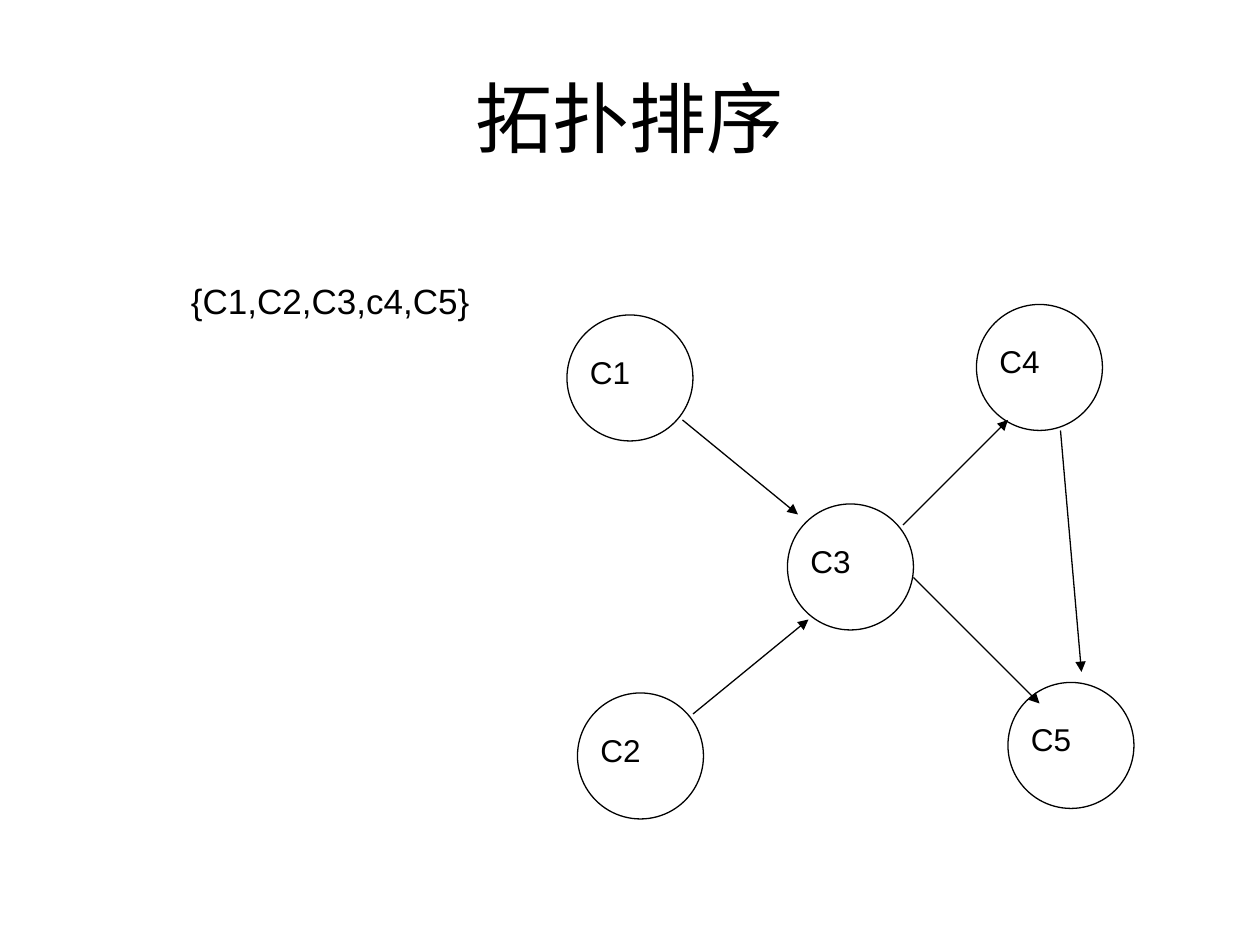
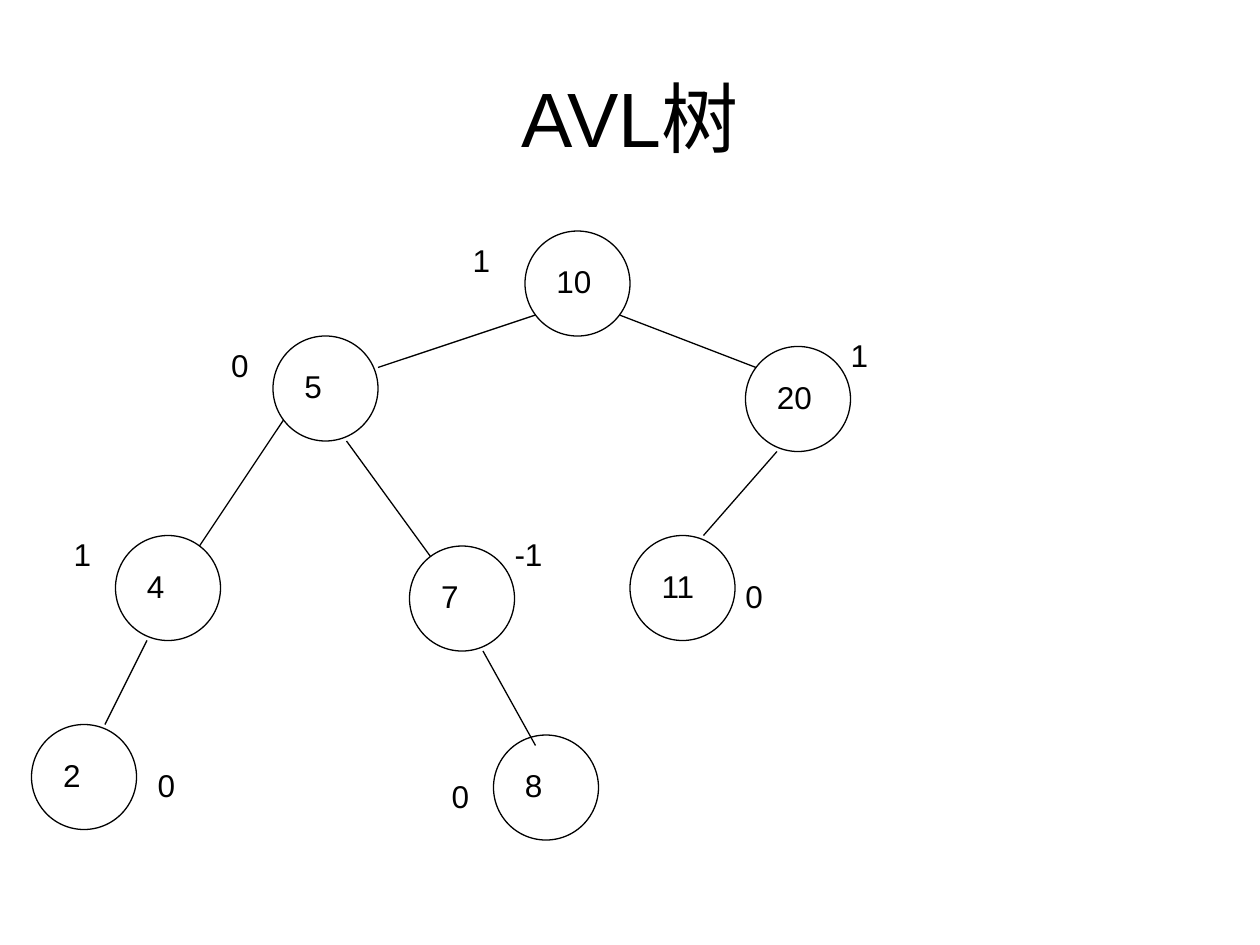
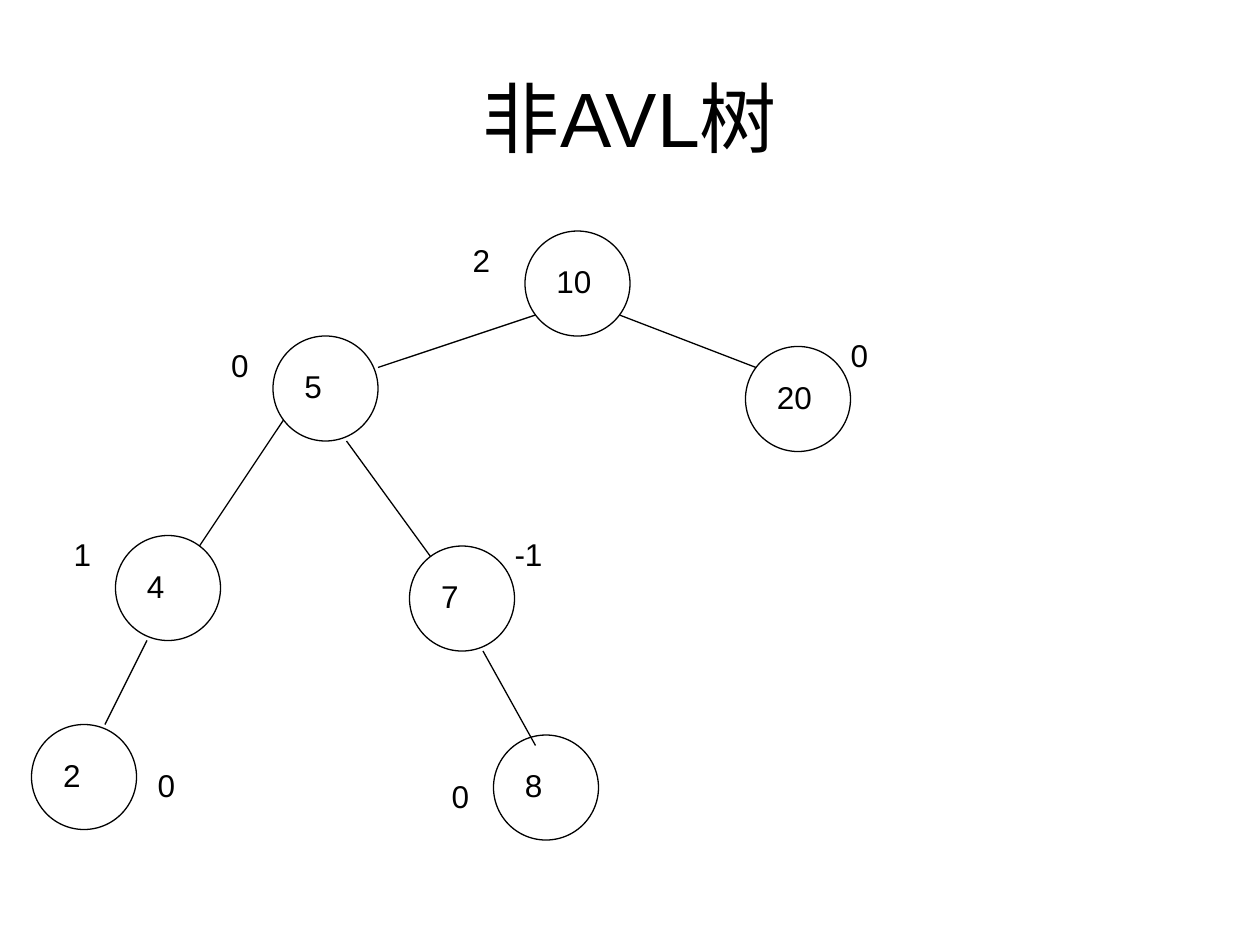
from dataclasses import dataclass

from lxml import etree
from pptx import Presentation
from pptx.dml.color import RGBColor
from pptx.enum.shapes import MSO_CONNECTOR, MSO_SHAPE
from pptx.enum.text import MSO_ANCHOR, MSO_AUTO_SIZE, PP_ALIGN
from pptx.oxml.ns import qn
from pptx.util import Pt

OVAL = MSO_SHAPE.OVAL
STRAIGHT = MSO_CONNECTOR.STRAIGHT
TOP, MIDDLE = MSO_ANCHOR.TOP, MSO_ANCHOR.MIDDLE
LEFT, CENTER = PP_ALIGN.LEFT, PP_ALIGN.CENTER
GROW, FIXED = MSO_AUTO_SIZE.SHAPE_TO_FIT_TEXT, MSO_AUTO_SIZE.NONE


@dataclass(frozen=True)
class Theme:
    font: str = "Arial"
    ink: RGBColor = RGBColor(0, 0, 0)
    title_size: float = 44
    set_size: float = 20
    label_size: float = 18
    line_width: float = 0.75
    step: float = 6  # all diagram positions lie on a 6-point grid


@dataclass(frozen=True)
class NodeStyle:
    diameter: float
    label_offset: tuple
    label_width: float
    label_height: float
    insets: tuple


THEME = Theme()
PADDED = (7.2, 3.6)
TIGHT = (0, 0)
GRAPH_NODE = NodeStyle(12, (1, 3), 9, 28.8, PADDED)
TREE_NODE = NodeStyle(10, (3, 3), 4, 21.6, TIGHT)

# Directed graph: name -> grid position, then arrows as start and end points
GRAPH = {"C1": (54, 30), "C4": (93, 29), "C2": (55, 66), "C5": (96, 65), "C3": (75, 48)}
ARROWS = [
    ((65, 40), (76, 49)),
    ((66, 68), (77, 59)),
    ((87, 55), (99, 67)),
    ((86, 50), (96, 40)),
    ((101, 41), (103, 64)),
]

# Binary tree: key -> node position, balance factor, balance position
TREE = {
    "2": ((3, 69), "0", (15, 73)),
    "7": ((39, 52), "-1", (49, 51)),
    "8": ((47, 70), "0", (43, 74)),
    "4": ((11, 51), "1", (7, 51)),
    "20": ((71, 33), "0", (81, 32)),
    "5": ((26, 32), "0", (22, 33)),
    "10": ((50, 22), "2", (45, 23)),
}
BRANCHES = [
    ((51, 30), (36, 35)),
    ((59, 30), (72, 35)),
    ((27, 40), (19, 52)),
    ((14, 61), (10, 69)),
    ((33, 42), (41, 53)),
    ((46, 62), (51, 71)),
]

# One more leaf under 20 brings the tree into balance
AVL_TREE = TREE | {
    "11": ((60, 51), "0", (71, 55)),
    "20": ((71, 33), "1", (81, 32)),
    "10": ((50, 22), "1", (45, 23)),
}
AVL_BRANCHES = BRANCHES + [((67, 51), (74, 43))]


def grid(*counts):
    return [Pt(count * THEME.step) for count in counts]


def add_text(shapes, text, left, top, width, height, *, size=THEME.label_size,
             insets=TIGHT, align=LEFT, anchor=TOP, auto_size=GROW):
    box = shapes.add_textbox(left, top, width, height)
    frame = box.text_frame
    frame.word_wrap = True
    frame.auto_size = auto_size
    frame.vertical_anchor = anchor
    frame.margin_left = frame.margin_right = Pt(insets[0])
    frame.margin_top = frame.margin_bottom = Pt(insets[1])
    para = frame.paragraphs[0]
    para.alignment = align
    span = para.add_run()
    span.text = text
    span.font.name = THEME.font
    span.font.size = Pt(size)
    span.font.color.rgb = THEME.ink


def style_line(line):
    line.color.rgb = THEME.ink
    line.width = Pt(THEME.line_width)


def add_node(page, label, position, style):
    """Group a circle with its label."""
    left, top = position
    shift_x, shift_y = style.label_offset
    shapes = page.shapes.add_group_shape().shapes
    circle = shapes.add_shape(OVAL, *grid(left, top, style.diameter, style.diameter))
    circle.shadow.inherit = False
    circle.fill.background()
    style_line(circle.line)
    add_text(shapes, label, *grid(left + shift_x, top + shift_y, style.label_width),
             Pt(style.label_height), insets=style.insets)


def add_edge(page, start, end, arrow=False):
    edge = page.shapes.add_connector(STRAIGHT, *grid(*start, *end))
    style_line(edge.line)
    if arrow:
        etree.SubElement(edge.get_or_add_ln(), qn("a:tailEnd"), type="triangle")
    etree.SubElement(edge.element.spPr, qn("a:effectLst"))


def add_page(deck, title):
    page = deck.slides.add_slide(deck.slide_layouts[6])
    add_text(page.shapes, title, Pt(36), Pt(21.6), Pt(648), Pt(90),
             size=THEME.title_size, insets=PADDED, align=CENTER, anchor=MIDDLE,
             auto_size=FIXED)
    return page


def add_graph_page(deck):
    page = add_page(deck, "拓扑排序")
    add_text(page.shapes, "{C1,C2,C3,c4,C5}", *grid(17, 26, 34), Pt(31.7),
             size=THEME.set_size, insets=PADDED)
    for name, position in GRAPH.items():
        add_node(page, name, position, GRAPH_NODE)
    for start, end in ARROWS:
        add_edge(page, start, end, arrow=True)


def add_tree_page(deck, title, tree, branches):
    page = add_page(deck, title)
    for key, (position, balance, balance_position) in tree.items():
        add_node(page, key, position, TREE_NODE)
        add_text(page.shapes, balance, *grid(*balance_position, TREE_NODE.label_width),
                 Pt(TREE_NODE.label_height))
    for start, end in branches:
        add_edge(page, start, end)


def main():
    deck = Presentation()
    deck.slide_width, deck.slide_height = Pt(720), Pt(540)
    add_graph_page(deck)
    add_tree_page(deck, "AVL树", AVL_TREE, AVL_BRANCHES)
    add_tree_page(deck, "非AVL树", TREE, BRANCHES)
    deck.save("out.pptx")


if __name__ == "__main__":
    main()
